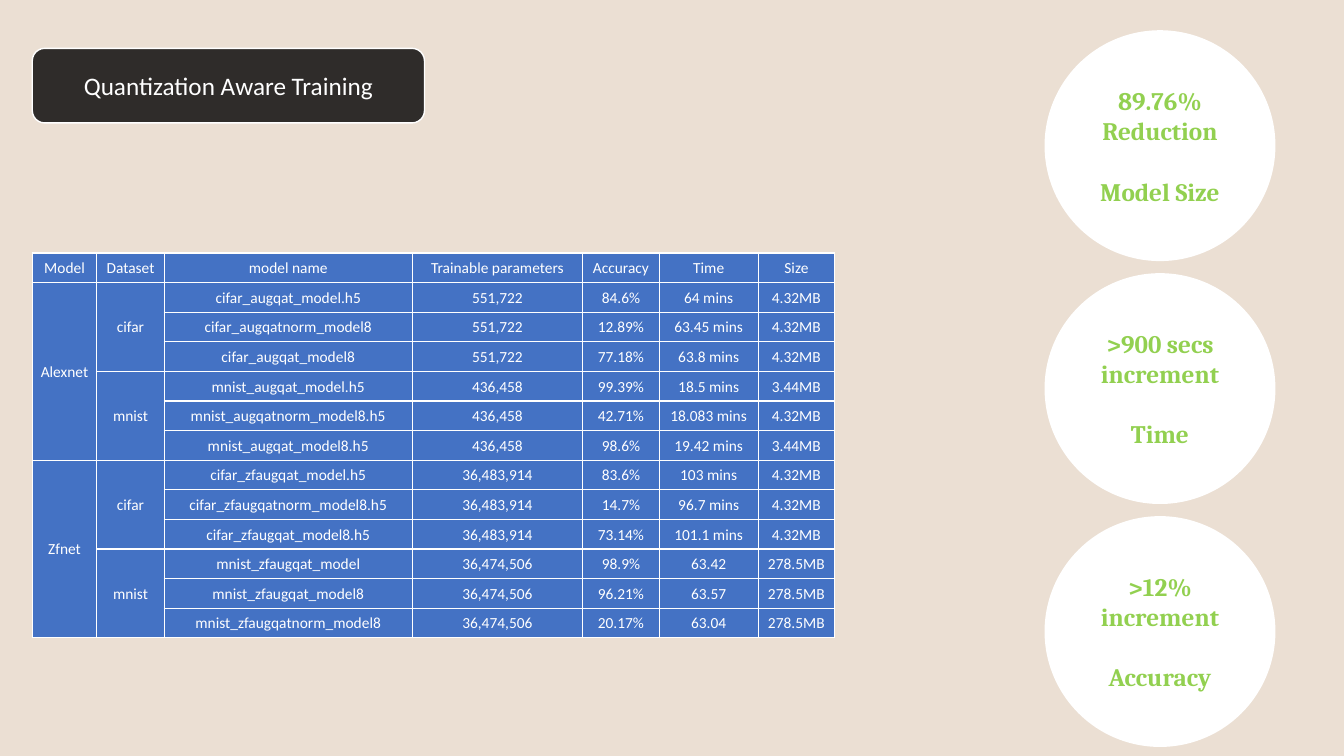
import dataclasses

import lxml.etree
import pptx
import pptx.dml.color
import pptx.enum.shapes
import pptx.enum.text
import pptx.oxml.ns
import pptx.util


@dataclasses.dataclass(frozen=True)
class Theme:
    sand: str = "EBDFD3"
    black: str = "000000"
    white: str = "FFFFFF"
    blue: str = "4472C4"
    green: str = "92D050"
    body_font: str = "Calibri"
    badge_font: str = "Cambria"
    large: int = 18
    small: int = 11


theme = Theme()
inches = pptx.util.Inches
rgb = pptx.dml.color.RGBColor.from_string
qn = pptx.oxml.ns.qn
shapes = pptx.enum.shapes.MSO_SHAPE


def write(frame, text, *, font=theme.body_font, size=theme.large, color=theme.white,
          bold=False, gap=0):
    frame.word_wrap = True
    frame.vertical_anchor = pptx.enum.text.MSO_ANCHOR.MIDDLE
    frame.text = text
    for para in frame.paragraphs:
        para.alignment = pptx.enum.text.PP_ALIGN.CENTER
        para.line_spacing = 1.0
        para.space_before = pptx.util.Pt(0)
        for span in para.runs:
            span.font.name = font
            span.font.size = pptx.util.Pt(size)
            span.font.bold = bold
            span.font.color.rgb = rgb(color)
    if gap:
        frame.paragraphs[-1].space_before = pptx.util.Pt(gap)


deck = pptx.Presentation()
deck.slide_width, deck.slide_height = inches(13.33), inches(7.5)
page = deck.slides.add_slide(deck.slide_layouts.get_by_name("Title Only"))
page.background.fill.solid()
page.background.fill.fore_color.rgb = rgb(theme.sand)

left = 0.32
title_area = [inches(value) for value in (left, 0.48, 3.89, 0.74)]
banner = page.shapes.add_shape(shapes.ROUNDED_RECTANGLE, *title_area)
banner.shadow.inherit = False
banner.fill.solid()
banner.fill.fore_color.rgb = rgb(theme.black)
banner_color = banner._element.spPr.find(qn("a:solidFill")).find(qn("a:srgbClr"))
lxml.etree.SubElement(banner_color, qn("a:alpha"), val="80000")
banner.line.color.rgb = rgb(theme.white)
banner.line.width = pptx.util.Pt(1)

title = page.shapes.title
title.left, title.top, title.width, title.height = title_area
write(title.text_frame, "Quantization Aware Training")
page.shapes._spTree.append(title._element)

headers = ["Model", "Dataset", "model name", "Trainable parameters", "Accuracy", "Time", "Size"]
groups = [
    ("Alexnet", "cifar", "551,722", [
        ("cifar_augqat_model.h5", "84.6%", "64 mins", "4.32MB"),
        ("cifar_augqatnorm_model8", "12.89%", "63.45 mins", "4.32MB"),
        ("cifar_augqat_model8", "77.18%", "63.8 mins", "4.32MB")]),
    ("Alexnet", "mnist", "436,458", [
        ("mnist_augqat_model.h5", "99.39%", "18.5 mins", "3.44MB"),
        ("mnist_augqatnorm_model8.h5", "42.71%", "18.083 mins", "4.32MB"),
        ("mnist_augqat_model8.h5", "98.6%", "19.42 mins", "3.44MB")]),
    ("Zfnet", "cifar", "36,483,914", [
        ("cifar_zfaugqat_model.h5", "83.6%", "103 mins", "4.32MB"),
        ("cifar_zfaugqatnorm_model8.h5", "14.7%", "96.7 mins", "4.32MB"),
        ("cifar_zfaugqat_model8.h5", "73.14%", "101.1 mins", "4.32MB")]),
    ("Zfnet", "mnist", "36,474,506", [
        ("mnist_zfaugqat_model", "98.9%", "63.42", "278.5MB"),
        ("mnist_zfaugqat_model8", "96.21%", "63.57", "278.5MB"),
        ("mnist_zfaugqatnorm_model8", "20.17%", "63.04", "278.5MB")]),
]
rows = [headers]
for model, dataset, parameters, runs in groups:
    for index, (name, *results) in enumerate(runs):
        first_of_model = index == 0 and dataset == "cifar"
        rows.append([model if first_of_model else "", dataset if index == 0 else "",
                     name, parameters, *results])

column_widths = [0.64, 0.67, 2.46, 1.69, 0.76, 0.98, 0.76]
table_height = inches(3.82)
table = page.shapes.add_table(len(rows), len(headers), inches(left), inches(2.51),
                              inches(sum(column_widths)), table_height).table
table.first_row = table.horz_banding = False
for column, width in zip(table.columns, column_widths):
    column.width = inches(width)
for row in table.rows:
    row.height = table_height // len(rows)

for column, span_rows in ((0, 6), (1, 3)):
    for top in range(1, len(rows), span_rows):
        table.cell(top, column).merge(table.cell(top + span_rows - 1, column))

for row, values in enumerate(rows):
    for column, value in enumerate(values):
        cell = table.cell(row, column)
        cell.margin_left = cell.margin_right = cell.margin_top = inches(0.01)
        cell.margin_bottom = 0
        cell.vertical_anchor = pptx.enum.text.MSO_ANCHOR.MIDDLE
        for side in ("lnL", "lnR", "lnT", "lnB"):
            border = lxml.etree.SubElement(cell._tc.tcPr, qn(f"a:{side}"), w="12700")
            border_fill = lxml.etree.SubElement(border, qn("a:solidFill"))
            lxml.etree.SubElement(border_fill, qn("a:srgbClr"), val=theme.white)
        cell.fill.solid()
        cell.fill.fore_color.rgb = rgb(theme.blue)
        if not cell.is_spanned:
            write(cell.text_frame, value, size=theme.small)

badges = ["89.76%\nReduction\nModel Size", ">900 secs\nincrement\nTime", ">12%\nincrement\nAccuracy"]
diameter, badge_pitch = inches(2.29), 2.41
for index, text in enumerate(badges):
    badge = page.shapes.add_shape(shapes.OVAL, inches(10.36), inches(0.3 + index * badge_pitch),
                                  diameter, diameter)
    badge.shadow.inherit = False
    badge.fill.solid()
    badge.fill.fore_color.rgb = rgb(theme.white)
    badge.line.fill.background()
    write(badge.text_frame, text, font=theme.badge_font, color=theme.green, bold=True, gap=21.5)

deck.save("out.pptx")
